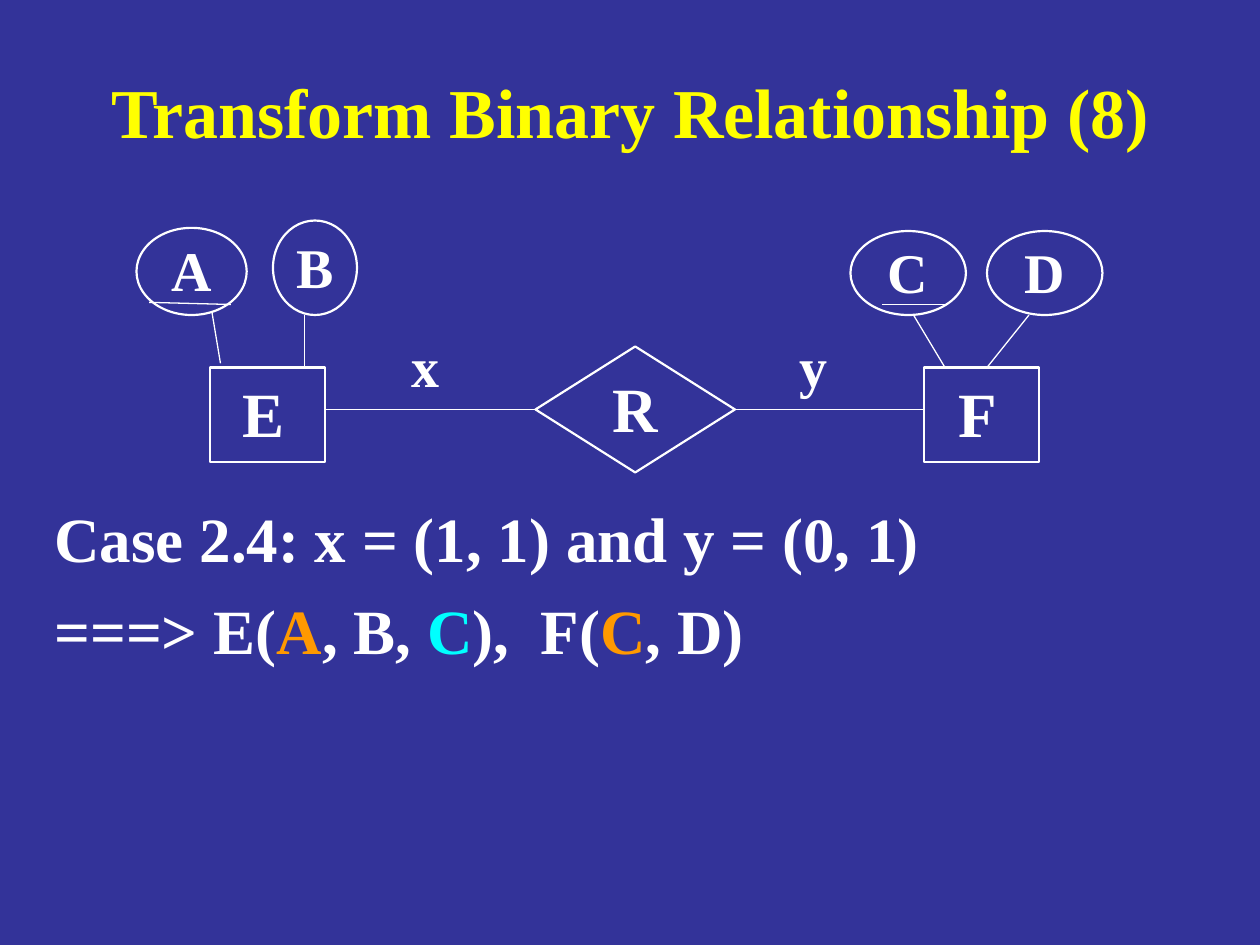
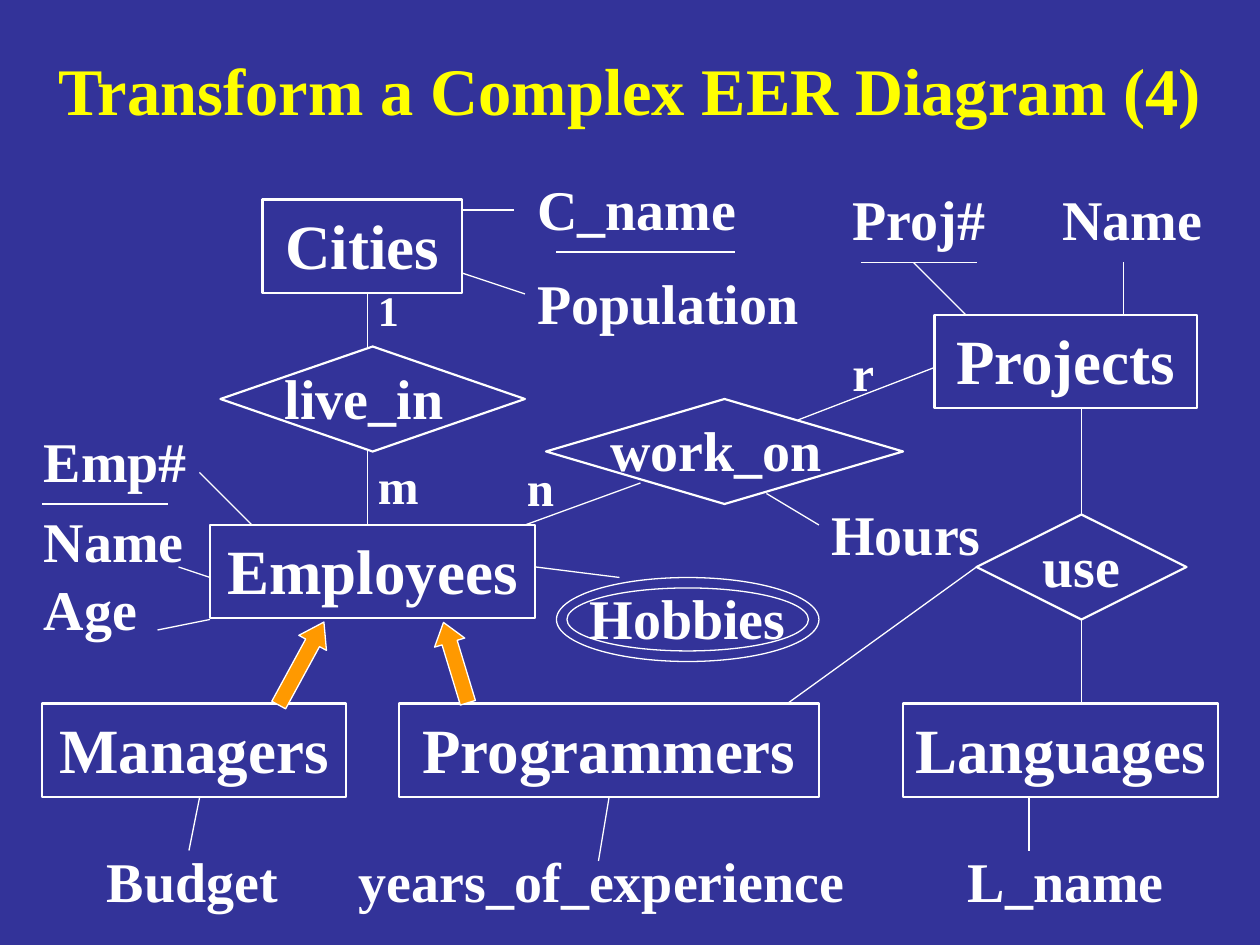
from dataclasses import dataclass

from lxml import etree
from pptx import Presentation
from pptx import util as u
from pptx.dml.color import RGBColor
from pptx.enum import shapes, text
from pptx.oxml import ns

# Shared look
NAVY = RGBColor(0x33, 0x33, 0x99)
WHITE = RGBColor(0xFF, 0xFF, 0xFF)
YELLOW = RGBColor(0xFF, 0xFF, 0x00)
ORANGE = RGBColor(0xFF, 0x99, 0x00)
CYAN = RGBColor(0x00, 0xFF, 0xFF)
FONT = "Times New Roman"
THIN, MEDIUM = u.Pt(0.75), u.Pt(1.25)
RECT = shapes.MSO_SHAPE.RECTANGLE
OVAL = shapes.MSO_SHAPE.OVAL
DIAMOND = shapes.MSO_SHAPE.DIAMOND
ARROW = shapes.MSO_SHAPE.RIGHT_ARROW

# The slide is a grid of 120 by 90 cells
CELL = 25.4 / 120
COLUMNS, ROWS = 120, 90
ENTITY_HEIGHT = 8.9


def grid(*cells):
    return [u.Cm(cell * CELL) for cell in cells]


def format_runs(para, size, color=WHITE):
    for span in para.runs:
        span.font.name = FONT
        span.font.size = u.Pt(size)
        span.font.bold = True
        span.font.color.rgb = color


@dataclass
class Region:
    """A part of a page; its shapes are placed from its top left corner."""
    page: object
    left: float
    top: float

    def outline(self, kind, left, top, width, height, weight=MEDIUM):
        shape = self.page.shapes.add_shape(
            kind, *grid(self.left + left, self.top + top, width, height))
        shape.shadow.inherit = False
        shape.fill.background()
        shape.line.color.rgb = WHITE
        shape.line.width = weight
        return shape

    def node(self, kind, name, left, top, width, height, size=32, shift=0, weight=MEDIUM):
        """Outline with a centred name, moved left by shift cells."""
        shape = self.outline(kind, left, top, width, height, weight)
        frame = shape.text_frame
        frame.text = name
        frame.word_wrap = False
        frame.vertical_anchor = text.MSO_ANCHOR.MIDDLE
        frame.margin_left = frame.margin_top = 0
        frame.margin_right, frame.margin_bottom = grid(2 * shift, 0.4)
        frame.paragraphs[0].alignment = text.PP_ALIGN.CENTER
        format_runs(frame.paragraphs[0], size)

    def entity(self, name, left, top, width):
        self.node(RECT, name, left, top, width, ENTITY_HEIGHT, 36)

    def label(self, lines, left, top, width, size=32):
        height = len(lines) * size * 0.2 + 1.2
        box = self.page.shapes.add_textbox(
            *grid(self.left + left, self.top + top, width, height))
        frame = box.text_frame
        frame.word_wrap = True
        frame.text = "\n".join(lines)
        for para in frame.paragraphs:
            format_runs(para, size)
        return frame

    def lines(self, *ends):
        for x1, y1, x2, y2 in ends:
            line = self.page.shapes.add_connector(
                shapes.MSO_CONNECTOR.STRAIGHT,
                *grid(self.left + x1, self.top + y1, self.left + x2, self.top + y2))
            line.line.color.rgb = WHITE
            line.line.width = THIN
            etree.SubElement(line._element.spPr, ns.qn("a:effectLst"))

    def block_arrow(self, left, top, length, angle, head):
        arrow = self.outline(ARROW, left, top, length, 3, THIN)
        arrow.fill.solid()
        arrow.fill.fore_color.rgb = ORANGE
        arrow.adjustments[1] = head
        arrow.rotation = angle


def titled_page(deck, title, size, left, top, width):
    page = deck.slides.add_slide(deck.slide_layouts[5])
    holder = page.shapes.title
    holder.left, holder.top, holder.width, holder.height = grid(left, top, width, 11)
    frame = holder.text_frame
    frame.text = title
    frame.auto_size = text.MSO_AUTO_SIZE.NONE
    frame.vertical_anchor = text.MSO_ANCHOR.MIDDLE
    frame.margin_left = frame.margin_right = 0
    frame.paragraphs[0].alignment = text.PP_ALIGN.CENTER
    format_runs(frame.paragraphs[0], size, YELLOW)
    return page


# Binary relationship page
def binary_diagram(region):
    for name, left in (("E", 7), ("F", 75)):
        region.node(RECT, name, left, 14, 11, 9, 36, shift=0.4)
    region.node(DIAMOND, "R", 38, 12, 19, 12, 36)
    for name, left, top, width, height in (
            ("A", 0, 0.7, 10.5, 8.3), ("B", 13, 0, 8, 9),
            ("C", 68, 1, 11, 8), ("D", 81, 1, 11, 8)):
        region.node(OVAL, name, left, top, width, height)
    for name, left in (("x", 25), ("y", 62)):
        region.label([name], left, 10, 6)
    # Key underlines, attribute links, relationship links
    region.lines((1.2, 7.8, 9, 8), (71, 8, 77, 8),
                 (8, 13.6, 7.2, 8.8), (16, 14, 16, 9),
                 (74, 9, 77, 14), (85, 9, 81, 14),
                 (18, 18, 38, 18), (57, 18, 75, 18))


def case_rule(region):
    schema = (("===> E(", WHITE), ("A", ORANGE), (", B, ", WHITE), ("C", CYAN),
              ("),  F(", WHITE), ("C", ORANGE), (", D)", WHITE))
    frame = region.label(["Case 2.4: x = (1, 1) and y = (0, 1)", ""], 0, 0, 112, 36)
    para = frame.paragraphs[1]
    para.space_before = u.Pt(9)
    for part, _ in schema:
        para.add_run().text = part
    format_runs(para, 36)
    for span, (_, color) in zip(para.runs, schema):
        span.font.color.rgb = color


# Complex diagram page
def cities(region):
    region.entity("Cities", 4, 3, 19)
    region.label(["C_name"], 29, 0, 23)
    region.label(["Population"], 29, 9, 29)
    region.node(DIAMOND, "live_in", 0, 17, 29, 10, shift=0.8)
    region.label(["1"], 13.8, 10.5, 5, 24)
    region.label(["m"], 13.8, 26.8, 7, 28)
    region.lines((32, 8, 49, 8), (23, 4, 28, 4), (29, 12, 23, 10),
                 (14, 17, 14, 12), (14, 27, 14, 34))


def employees(region):
    frame = region.label(["Emp#", "Name", "Age"], 0, 0, 18)
    frame.paragraphs[1].line_spacing = 1.2
    region.entity("Employees", 17, 10, 31)
    region.node(OVAL, "Hobbies", 51, 16, 23, 6, weight=THIN)
    region.outline(OVAL, 50, 15, 25, 8, THIN)
    region.lines((1, 8, 13, 8), (16, 5, 21, 10), (14, 14, 17, 15),
                 (12, 20, 17, 19), (48, 14, 56, 15))


def subclasses(region):
    region.entity("Managers", 0, 6, 29)
    region.entity("Programmers", 34, 6, 40)
    region.label(["Budget"], 5, 19, 20)
    region.label(["years_of_experience"], 29, 19, 51)
    region.lines((14, 20, 15, 15), (53, 21, 54, 15))
    region.block_arrow(20.2, 0.7, 9, 298.6, 0.75)
    region.block_arrow(35.4, 0.6, 8, 253.1, 0.67)


def work_on(region):
    region.node(DIAMOND, "work_on", 3, 6, 34, 10, shift=0.8)
    region.label(["n"], 0, 11, 6, 28)
    region.label(["r"], 31, 0, 6, 28)
    region.label(["Hours"], 29, 15, 18)
    region.lines((27, 8, 40, 3), (1, 18, 12, 14), (24, 15, 29, 18))


def projects(region):
    region.entity("Projects", 14, 13, 25)
    region.label(["Proj#"], 5, 0, 17)
    region.label(["Name"], 25, 0, 18)
    region.node(DIAMOND, "use", 18, 32, 20, 10)
    region.entity("Languages", 11, 50, 30)
    region.label(["L_name"], 16, 63, 23)
    region.lines((7, 8, 18, 8), (17, 13, 12, 8), (32, 8, 32, 13),
                 (28, 32, 28, 22), (28, 42, 28, 50),
                 (0, 50, 18, 37), (23, 59, 23, 64))


def main():
    deck = Presentation()
    deck.slide_width, deck.slide_height = grid(COLUMNS, ROWS)
    background = deck.slide_master.background.fill
    background.solid()
    background.fore_color.rgb = NAVY

    page = titled_page(deck, "Transform Binary Relationship (8)", 40, 9, 5, 102)
    binary_diagram(Region(page, 13, 21))
    case_rule(Region(page, 4, 47))

    page = titled_page(deck, "Transform a Complex EER Diagram (4)", 38, 4, 3, 112)
    for draw, left, top in ((cities, 21, 16), (employees, 3, 40), (subclasses, 4, 61),
                            (work_on, 49, 32), (projects, 75, 17)):
        draw(Region(page, left, top))

    deck.save("out.pptx")


if __name__ == "__main__":
    main()
